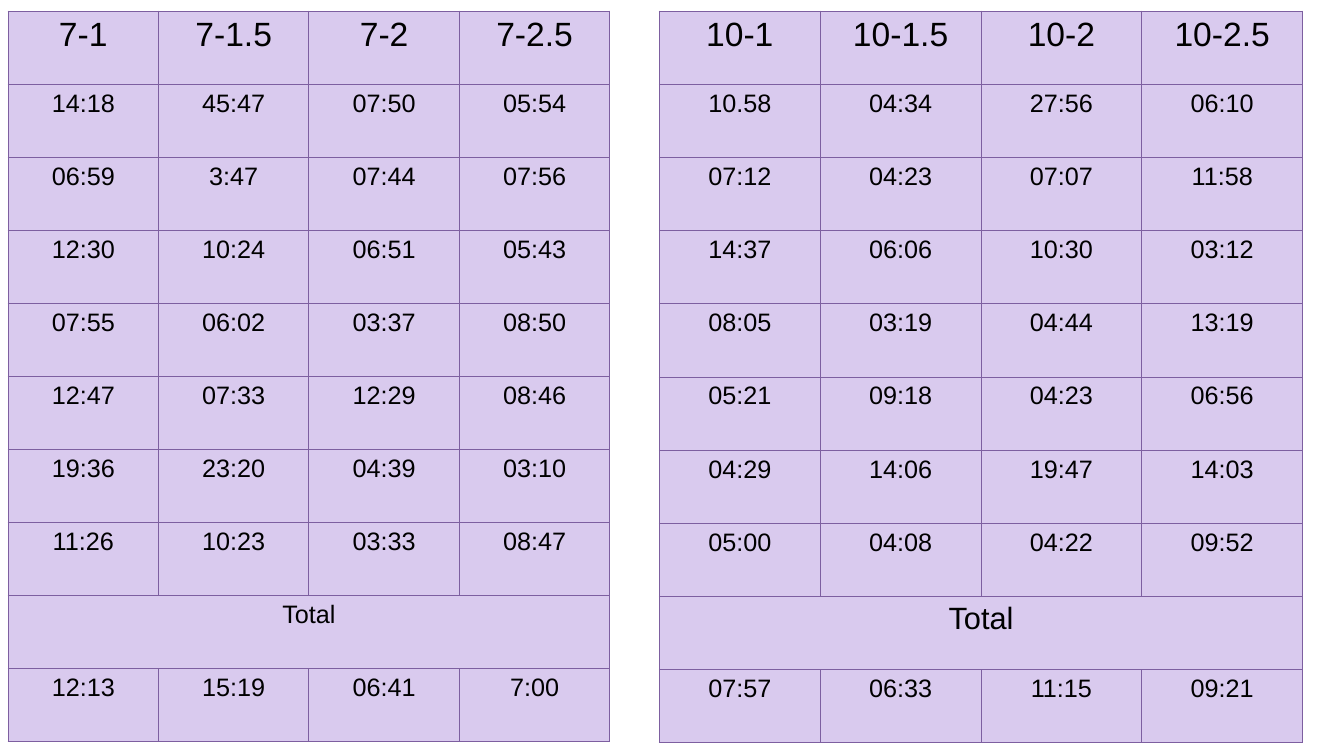
from lxml.etree import SubElement
from pptx import Presentation
from pptx.dml.color import RGBColor
from pptx.enum.text import PP_ALIGN
from pptx.oxml.ns import qn
from pptx.util import Inches, Pt

LILAC = RGBColor(0xD9, 0xCA, 0xEE)
PURPLE = RGBColor(0x7D, 0x5F, 0xA0)
BLACK = RGBColor(0, 0, 0)

# Times by column heading, with the totals last
SEVEN_SERIES = [
    ["7-1", "7-1.5", "7-2", "7-2.5"],
    ["14:18", "45:47", "07:50", "05:54"],
    ["06:59", "3:47", "07:44", "07:56"],
    ["12:30", "10:24", "06:51", "05:43"],
    ["07:55", "06:02", "03:37", "08:50"],
    ["12:47", "07:33", "12:29", "08:46"],
    ["19:36", "23:20", "04:39", "03:10"],
    ["11:26", "10:23", "03:33", "08:47"],
    ["Total"],
    ["12:13", "15:19", "06:41", "7:00"],
]
TEN_SERIES = [
    ["10-1", "10-1.5", "10-2", "10-2.5"],
    ["10.58", "04:34", "27:56", "06:10"],
    ["07:12", "04:23", "07:07", "11:58"],
    ["14:37", "06:06", "10:30", "03:12"],
    ["08:05", "03:19", "04:44", "13:19"],
    ["05:21", "09:18", "04:23", "06:56"],
    ["04:29", "14:06", "19:47", "14:03"],
    ["05:00", "04:08", "04:22", "09:52"],
    ["Total"],
    ["07:57", "06:33", "11:15", "09:21"],
]


class TimesSlide:
    font = "Arial"
    heading_size = 24
    time_size = 18
    border_width = Pt(0.74)

    def __init__(self, slide):
        self.slide = slide

    def border(self, cell):
        props = cell._tc.get_or_add_tcPr()
        for side in ("a:lnL", "a:lnR", "a:lnT", "a:lnB"):
            line = SubElement(props, qn(side), w=str(self.border_width))
            paint = SubElement(line, qn("a:solidFill"))
            SubElement(paint, qn("a:srgbClr"), val=str(PURPLE))

    def label(self, cell, text, size):
        paragraph = cell.text_frame.paragraphs[0]
        paragraph.alignment = PP_ALIGN.CENTER
        run = paragraph.add_run()
        run.text = text
        run.font.name = self.font
        run.font.size = Pt(size)
        run.font.bold = False
        run.font.color.rgb = BLACK

    def table(self, rows, left, top, width, height, total_size):
        columns = len(rows[0])
        frame = self.slide.shapes.add_table(
            len(rows), columns, Inches(left), Inches(top), Inches(width), Inches(height))
        times = frame.table
        times.first_row = times.horz_banding = False

        for cell in times.iter_cells():
            self.border(cell)
            cell.fill.solid()
            cell.fill.fore_color.rgb = LILAC

        for r, row in enumerate(rows):
            size = self.heading_size if r == 0 else self.time_size
            # A row with a single label spans the table
            if len(row) == 1:
                times.cell(r, 0).merge(times.cell(r, columns - 1))
                size = total_size
            for c, text in enumerate(row):
                self.label(times.cell(r, c), text, size)


deck = Presentation()
deck.slide_width, deck.slide_height = Inches(13.33), Inches(7.5)
page = TimesSlide(deck.slides.add_slide(deck.slide_layouts[6]))

# Two tables side by side
page.table(SEVEN_SERIES, 0.08, 0.11, 5.97, 7.25, total_size=18)
page.table(TEN_SERIES, 6.54, 0.11, 6.38, 7.26, total_size=22)

deck.save("out.pptx")
